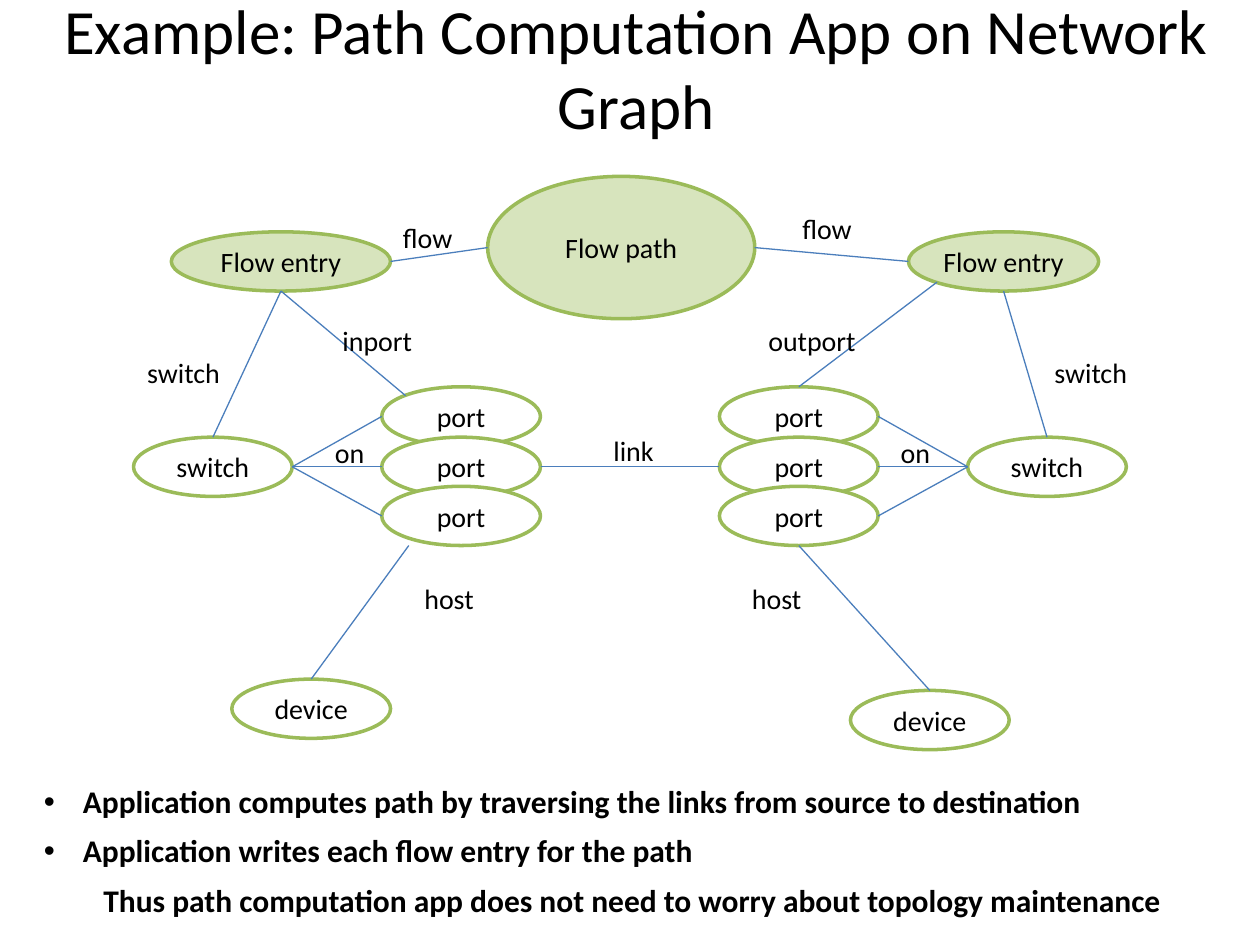
import pptx
import pptx.dml.color
import pptx.enum.shapes
import pptx.enum.text
import pptx.oxml
import pptx.oxml.ns
import pptx.util
from pptx.util import Inches

ALIGN = pptx.enum.text.PP_ALIGN
ANCHOR = pptx.enum.text.MSO_ANCHOR


def color(value):
    """Turn a hex string into a colour."""
    return pptx.dml.color.RGBColor.from_string(value)


def site(shape, across, down):
    """Return the point at the given fractions of a shape's width and height."""
    return (int(shape.left + across * shape.width),
            int(shape.top + down * shape.height))


class GraphSlide:
    """Holds the style and the slide being drawn."""
    font = "Calibri"
    text_color = "000000"
    outline = "9BBB59"
    edge_color = "4B7EBC"
    flow_fill = "D7E4BD"

    def __init__(self, slide):
        """Keep the slide to draw on."""
        self.slide = slide

    def style(self, paragraph, size, align=ALIGN.LEFT, bold=False):
        """Format a paragraph and its runs."""
        paragraph.alignment = align
        for run in paragraph.runs:
            run.font.name = self.font
            run.font.size = pptx.util.Pt(size)
            run.font.bold = bold
            run.font.color.rgb = color(self.text_color)

    def node(self, text, left, top, width=1.26, height=0.47, fill="FFFFFF"):
        """Add a labelled ellipse."""
        shape = self.slide.shapes.add_shape(
            pptx.enum.shapes.MSO_SHAPE.OVAL,
            Inches(left), Inches(top), Inches(width), Inches(height))
        shape.shadow.inherit = False
        shape.fill.solid()
        shape.fill.fore_color.rgb = color(fill)
        shape.line.color.rgb = color(self.outline)
        shape.line.width = pptx.util.Pt(2)
        frame = shape.text_frame
        frame.text = text
        frame.word_wrap = False
        frame.vertical_anchor = ANCHOR.MIDDLE
        self.style(frame.paragraphs[0], 16, ALIGN.CENTER)
        return shape

    def edge(self, start, end):
        """Add a straight line between two points."""
        line = self.slide.shapes.add_connector(
            pptx.enum.shapes.MSO_CONNECTOR.STRAIGHT, *start, *end)
        line.line.color.rgb = color(self.edge_color)
        line.line.width = pptx.util.Pt(0.75)
        properties = line._element.spPr
        properties.append(properties.makeelement(
            pptx.oxml.ns.qn("a:effectLst"), {}))

    def text_box(self, text, left, top, width, height, wrap=True):
        """Add a text box and return its frame."""
        box = self.slide.shapes.add_textbox(
            Inches(left), Inches(top), Inches(width), Inches(height))
        box.text_frame.text = text
        box.text_frame.word_wrap = wrap
        return box.text_frame

    def label(self, text, left, top, width):
        """Add an edge label."""
        frame = self.text_box(text, left, top, width, 0.37, wrap=False)
        self.style(frame.paragraphs[0], 16)

    def title(self, text):
        """Add the slide title."""
        frame = self.text_box(text, 0.32, 0.24, 9.46, 0.58)
        frame.vertical_anchor = ANCHOR.MIDDLE
        self.style(frame.paragraphs[0], 36, ALIGN.CENTER)

    def bullet_list(self, bullets, conclusion):
        """Add the bullets and the centred conclusion below them."""
        frame = self.text_box("\n".join(bullets + [conclusion]),
                              0.25, 6.07, 9.54, 1.27)
        for paragraph in frame.paragraphs:
            paragraph.line_spacing = 1.3
            self.style(paragraph, 18, bold=True)
        for paragraph in frame.paragraphs[:-1]:
            properties = paragraph._p.get_or_add_pPr()
            properties.set("marL", str(Inches(0.31)))
            properties.set("indent", str(-Inches(0.31)))
            for tag, name, value in (("buFont", "typeface", "Arial"),
                                     ("buChar", "char", "\u2022")):
                properties.append(properties.makeelement(
                    pptx.oxml.ns.qn("a:" + tag), {name: value}))
        frame.paragraphs[-1].alignment = ALIGN.CENTER


presentation = pptx.Presentation()
presentation.slide_width = Inches(10)
presentation.slide_height = Inches(7.5)
graph = GraphSlide(presentation.slides.add_slide(presentation.slide_layouts[6]))

graph.title("Example: Path Computation App on Network Graph")

TOP, BOTTOM, LEFT, RIGHT = (0.5, 0), (0.5, 1), (0, 0.5), (1, 0.5)
flow_path = graph.node("Flow path", 3.87, 1.4, 2.12, 1.13, graph.flow_fill)

# Per side: entry left and width, switch left, port left, device position,
# inner and outer sites, and the sites of the port and host edges.
sides = [
    (1.36, 1.74, 1.06, 3.03, (1.84, 5.39), RIGHT, LEFT,
     BOTTOM, (0.15, 0.15), (0.17, 1)),
    (7.21, 1.51, 7.68, 5.71, (6.75, 5.48), LEFT, RIGHT,
     (0.15, 0.85), TOP, BOTTOM),
]
middle_ports = []
for (entry_left, entry_width, switch_left, port_left, device_at, inner, outer,
     entry_site, port_site, host_site) in sides:
    entry = graph.node("Flow entry", entry_left, 1.84, entry_width,
                       fill=graph.flow_fill)
    switch = graph.node("switch", switch_left, 3.47)
    device = graph.node("device", *device_at)
    ports = [graph.node("port", port_left, top) for top in (3.07, 3.47, 3.86)]
    middle_ports.append(ports[1])

    graph.edge(site(entry, *inner), site(flow_path, *outer))
    graph.edge(site(entry, *BOTTOM), site(switch, *TOP))
    graph.edge(site(entry, *entry_site), site(ports[0], *port_site))
    graph.edge(site(device, *TOP), site(ports[2], *host_site))
    for port in ports:
        graph.edge(site(switch, *inner), site(port, *outer))

graph.edge(site(middle_ports[0], *RIGHT), site(middle_ports[1], *LEFT))

for text, left, top, width in [
        ("flow", 3.1, 1.7, 0.6), ("flow", 6.27, 1.63, 0.6),
        ("inport", 2.62, 2.52, 0.76), ("outport", 6, 2.52, 0.9),
        ("switch", 1.07, 2.77, 0.79), ("switch", 8.27, 2.77, 0.79),
        ("on", 2.56, 3.41, 0.44), ("on", 7.05, 3.41, 0.44),
        ("link", 4.77, 3.39, 0.52),
        ("host", 3.27, 4.57, 0.6), ("host", 5.87, 4.57, 0.6)]:
    graph.label(text, left, top, width)

graph.bullet_list(
    ["Application computes path by traversing the links from source to "
     "destination",
     "Application writes each flow entry for the path"],
    "Thus path computation app does not need to worry about topology "
    "maintenance")

presentation.save("out.pptx")
